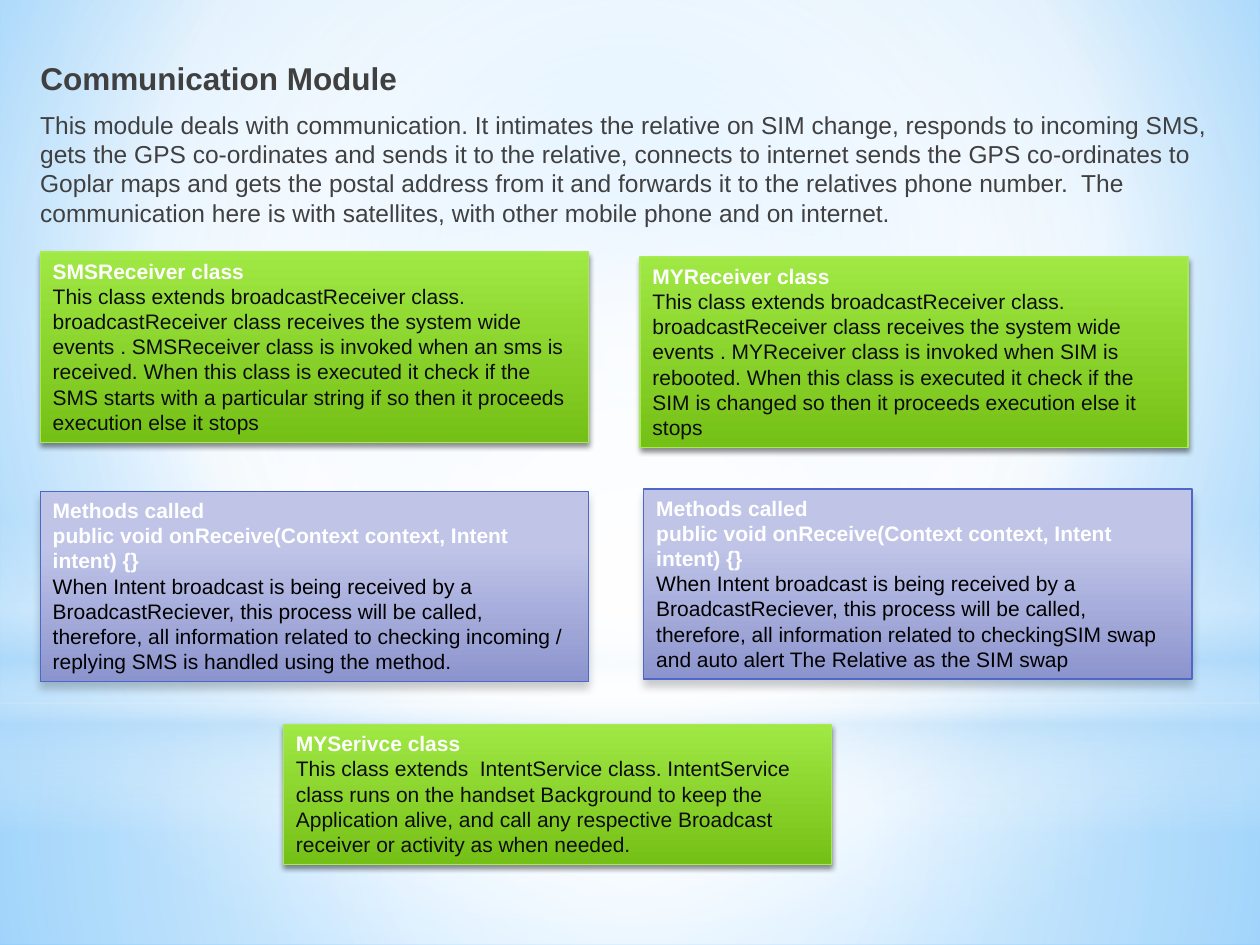
import pptx
import pptx.util
import pptx.dml.color
import pptx.enum.shapes
import pptx.enum.text
import pptx.oxml
import pptx.oxml.ns

RGB = pptx.dml.color.RGBColor
SHAPE = pptx.enum.shapes.MSO_SHAPE
ANCHOR = pptx.enum.text.MSO_ANCHOR
AUTO = pptx.enum.text.MSO_AUTO_SIZE
Inches = pptx.util.Inches
Pt = pptx.util.Pt
qn = pptx.oxml.ns.qn
NS = pptx.oxml.ns.nsdecls("a", "p")

WHITE = RGB(0xFF, 0xFF, 0xFF)
BLACK = RGB(0, 0, 0)
INK = RGB(0x0D, 0x0D, 0x0D)
GREY = RGB(0x40, 0x40, 0x40)
SKY = RGB(0x9E, 0xD5, 0xFF)
DEEP_SKY = RGB(0x5B, 0xB9, 0xFF)
PALE_SKY = RGB(0xB4, 0xDC, 0xFA)
LIME = RGB(0xA0, 0xE8, 0x44)
GREEN = RGB(0x75, 0xC0, 0x16)
GREEN_EDGE = RGB(0xA7, 0xEA, 0x52)
LILAC = RGB(0xC0, 0xC5, 0xE8)
VIOLET = RGB(0x8C, 0x94, 0xCE)
VIOLET_EDGE = RGB(0x4E, 0x67, 0xC8)

W, H = 10, 7.5
CENTRE = (50, 50, 50, 50)
CARD_W = 4.35

CLASS_STYLE = dict(stops=[(0, LIME, 100), (100, GREEN, 100)],
                   edge=GREEN_EDGE, ink=INK, shadow=(45, 3.1, 1.8))
METHOD_STYLE = dict(stops=[(28, LILAC, 100), (100, VIOLET, 100)],
                    edge=VIOLET_EDGE, ink=BLACK, shadow=(20, 5, 4))

INTRO = ("This module deals with communication. It intimates the relative on SIM change, "
         "responds to incoming SMS, gets the GPS co-ordinates and sends it to the relative, "
         "connects to internet sends the GPS co-ordinates to Goplar maps and gets the postal "
         "address from it and forwards it to the relatives phone number.  The communication "
         "here is with satellites, with other mobile phone and on internet. ")
RECEIVER = ("This class extends broadcastReceiver class. broadcastReceiver class receives the "
            "system wide events . {} class is invoked when {}. When this class is executed it "
            "check if the {} so then it proceeds execution else it stops")
METHODS = ["Methods called", "public void onReceive(Context context, Intent intent) {}"]
RECEIVED = ("When Intent broadcast is being received by a BroadcastReciever, this process will "
            "be called, therefore, all information related to checking")

CARDS = [
    (0.32, 2, 1.51, CLASS_STYLE, ["SMSReceiver class "],
     RECEIVER.format("SMSReceiver", "an sms is received",
                     "SMS starts with a particular string if")),
    (0.32, 3.9, 1.51, METHOD_STYLE, METHODS,
     RECEIVED + " incoming / replying SMS is handled using the method."),
    (5.08, 2.04, 1.51, CLASS_STYLE, ["MYReceiver class "],
     RECEIVER.format("MYReceiver", "SIM is rebooted", "SIM is changed")),
    (5.11, 3.88, 1.51, METHOD_STYLE, METHODS,
     RECEIVED + "SIM swap and auto alert The Relative as the SIM swap"),
    (2.25, 5.75, 1.11, CLASS_STYLE, ["MYSerivce class "],
     "This class extends  IntentService class. IntentService class runs on the handset "
     "Background to keep the Application alive, and call any respective Broadcast receiver "
     "or activity as when needed. "),
]


def gradient(stops, focus=None):
    gs = "".join(
        f'<a:gs pos="{pos * 1000}"><a:srgbClr val="{color}">'
        f'<a:alpha val="{alpha * 1000}"/></a:srgbClr></a:gs>'
        for pos, color, alpha in stops)
    if focus:
        l, t, r, b = (v * 1000 for v in focus)
        kind = (f'<a:path path="circle"><a:fillToRect l="{l}" t="{t}" r="{r}" b="{b}"/>'
                '</a:path>')
    else:
        kind = '<a:lin ang="5400000" scaled="0"/>'
    return f'<a:gradFill {NS} rotWithShape="1"><a:gsLst>{gs}</a:gsLst>{kind}</a:gradFill>'


def gradient_shape(s, preset, box, stops, focus=None):
    sp = s.shapes.add_shape(preset, *map(Inches, box))
    sp.shadow.inherit = False
    sp.line.fill.background()
    sp.fill.background()
    spPr = sp._element.spPr
    spPr.replace(spPr.find(qn("a:noFill")), pptx.oxml.parse_xml(gradient(stops, focus)))
    return sp


def add_shadow(sp, alpha, blur, dist):
    sp._element.spPr.find(qn("a:effectLst")).append(pptx.oxml.parse_xml(
        f'<a:outerShdw {NS} blurRad="{Pt(blur)}" dist="{Pt(dist)}" dir="5400000" '
        f'rotWithShape="0"><a:srgbClr val="{BLACK}"><a:alpha val="{alpha * 1000}"/>'
        '</a:srgbClr></a:outerShdw>'))


def format_paragraph(p, size, color, bold=False):
    p.alignment = pptx.enum.text.PP_ALIGN.LEFT
    for r in p.runs:
        r.font.name = "Arial"
        r.font.size = Pt(size)
        r.font.bold = bold
        r.font.color.rgb = color


def backdrop(s):
    fill = gradient([(0, SKY, 100), (60, WHITE, 100), (100, DEEP_SKY, 100)],
                    (20, 10, 20, 60))
    s._element.cSld.insert(0, pptx.oxml.parse_xml(
        f'<p:bg {NS}><p:bgPr>{fill}<a:effectLst/></p:bgPr></p:bg>'))
    horizon = 5.58
    gradient_shape(s, SHAPE.RECTANGLE, (0, horizon, W, H - horizon),
                   [(0, WHITE, 91), (37, WHITE, 76), (100, PALE_SKY, 79)], CENTRE)
    gradient_shape(s, SHAPE.RECTANGLE, (0, 0, W, horizon),
                   [(0, WHITE, 89), (48, WHITE, 62), (100, PALE_SKY, 79)], CENTRE)
    gradient_shape(s, SHAPE.RECTANGLE, (0, 4.12, W, 2.5),
                   [(0, WHITE, 0), (29, WHITE, 30), (45, PALE_SKY, 40),
                    (55, WHITE, 26), (65, PALE_SKY, 60), (100, WHITE, 0)])
    gradient_shape(s, SHAPE.OVAL, (0, 1.75, W, horizon),
                   [(0, WHITE, 100), (56, WHITE, 0)], CENTRE)


def heading(s, left, top, width, height):
    title_h = 0.4
    title = s.shapes.title
    s.shapes._spTree.append(title._element)
    title.left, title.top, title.width, title.height = map(
        Inches, (left, top, width, title_h))
    title.text_frame.text = "Communication Module"
    title.text_frame.vertical_anchor = ANCHOR.MIDDLE
    format_paragraph(title.text_frame.paragraphs[0], 18, GREY, True)
    intro = s.shapes.add_textbox(*map(
        Inches, (left, top + title_h, width, height - title_h)))
    tf = intro.text_frame
    tf.word_wrap = True
    tf.text = INTRO
    format_paragraph(tf.paragraphs[0], 14, GREY)


def card(s, box, style, heads, body):
    sp = gradient_shape(s, SHAPE.RECTANGLE, box, style["stops"])
    sp.line.color.rgb = style["edge"]
    sp.line.width = Pt(0.75)
    add_shadow(sp, *style["shadow"])
    tf = sp.text_frame
    tf.word_wrap = True
    tf.auto_size = AUTO.SHAPE_TO_FIT_TEXT
    tf.vertical_anchor = ANCHOR.TOP
    tf.text = "\n".join(heads + [body])
    for p in tf.paragraphs[:-1]:
        format_paragraph(p, 12, WHITE, True)
    format_paragraph(tf.paragraphs[-1], 12, style["ink"])


prs = pptx.Presentation()
prs.slide_width, prs.slide_height = Inches(W), Inches(H)
s = prs.slides.add_slide(prs.slide_layouts[5])
backdrop(s)
heading(s, 0.22, 0.42, 9.68, 1.45)
for left, top, height, style, heads, body in CARDS:
    card(s, (left, top, CARD_W, height), style, heads, body)
prs.save("out.pptx")
